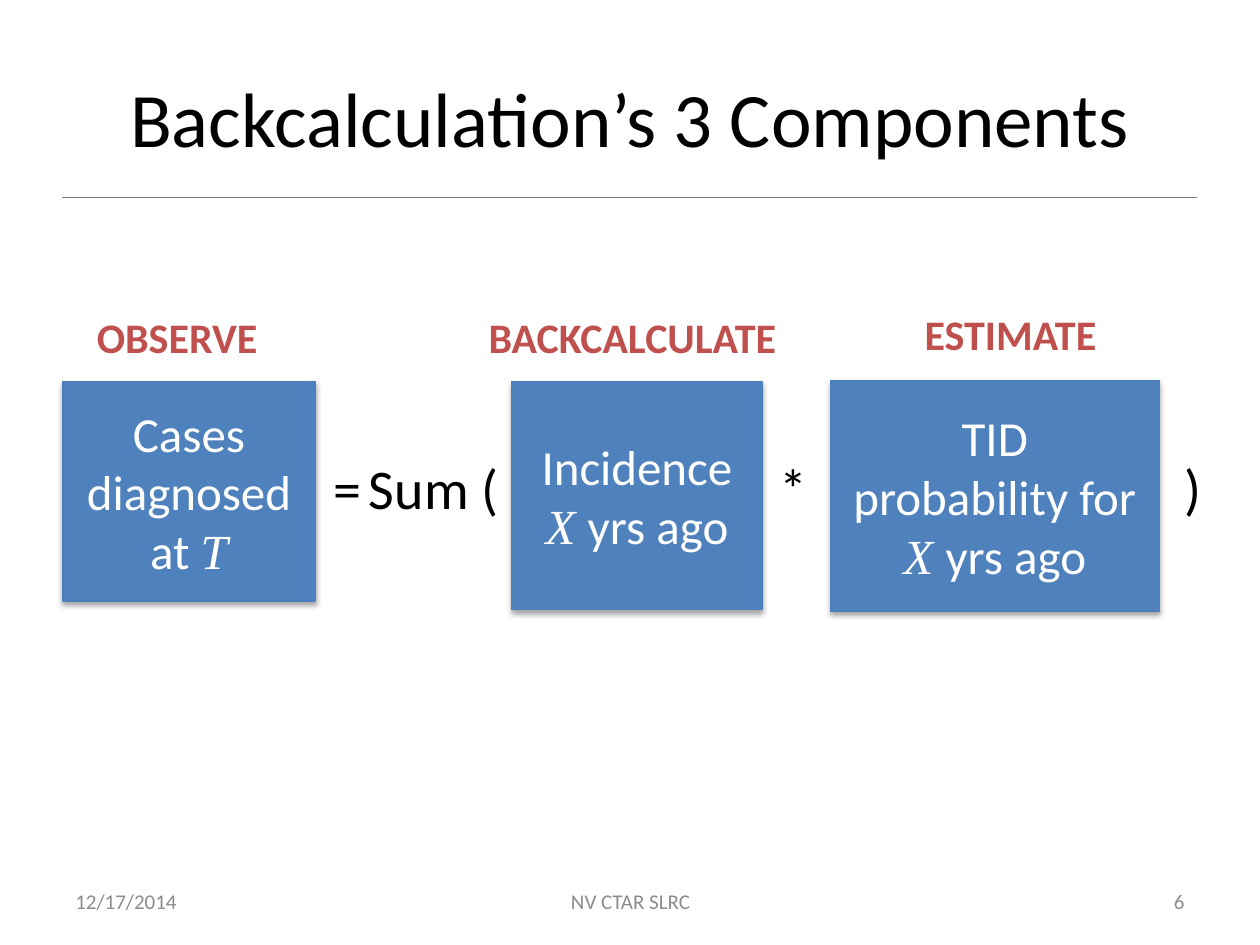
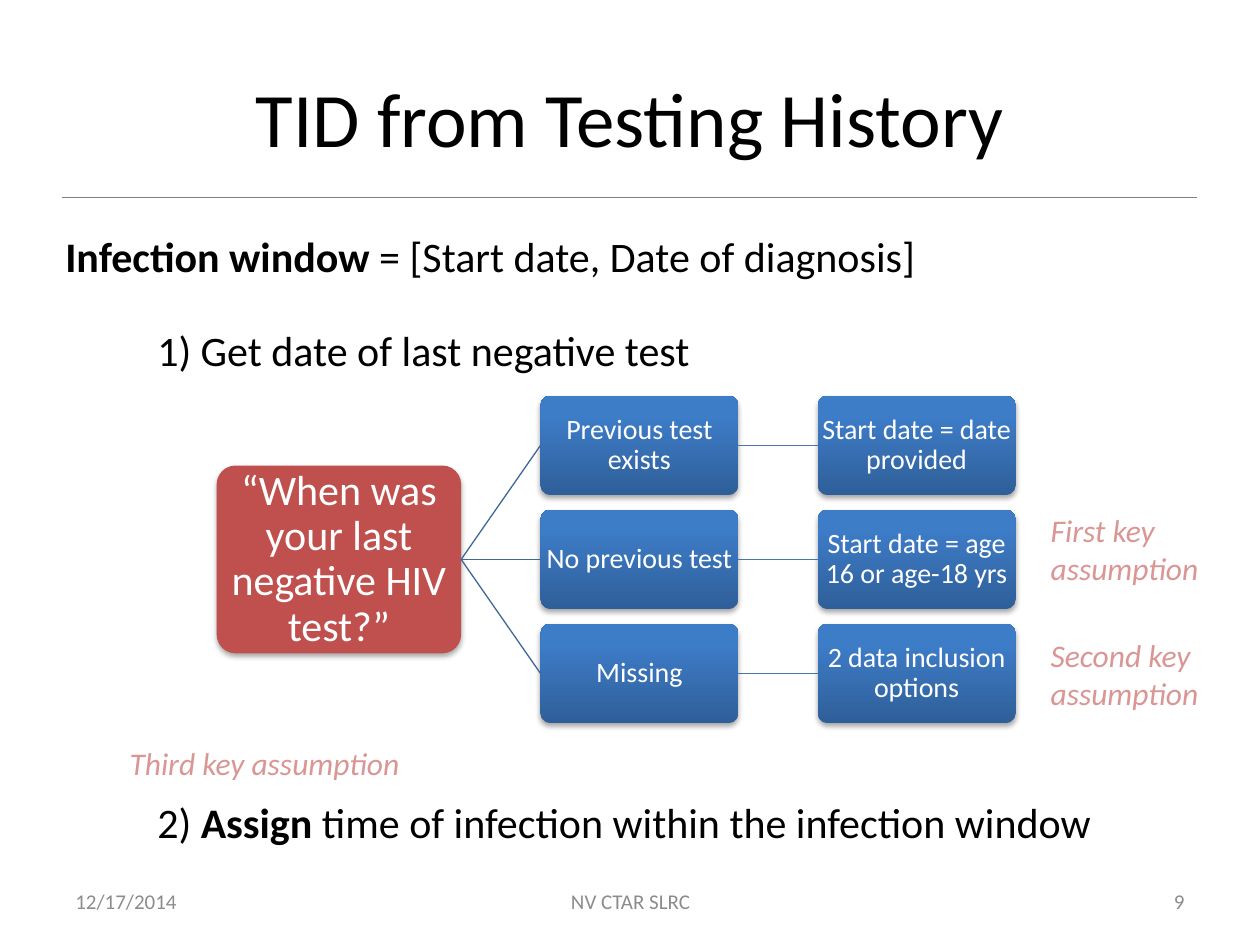
from dataclasses import dataclass

from lxml import etree
from pptx import Presentation
from pptx.dml.color import RGBColor
from pptx.enum.shapes import MSO_CONNECTOR, MSO_SHAPE
from pptx.enum.text import MSO_ANCHOR, PP_ALIGN
from pptx.oxml.ns import qn
from pptx.util import Inches, Pt

LEFT, CENTER, RIGHT = PP_ALIGN.LEFT, PP_ALIGN.CENTER, PP_ALIGN.RIGHT
TOP, MIDDLE = MSO_ANCHOR.TOP, MSO_ANCHOR.MIDDLE
RECTANGLE, ROUNDED = MSO_SHAPE.RECTANGLE, MSO_SHAPE.ROUNDED_RECTANGLE
STRAIGHT = MSO_CONNECTOR.STRAIGHT
LEFT_SITE, RIGHT_SITE = 1, 3
TITLE_ONLY = 5


@dataclass(frozen=True)
class Theme:
    font: str = "Calibri"
    symbol_font: str = "Times New Roman"
    ink: str = "000000"
    white: str = "FFFFFF"
    muted: str = "8C8C8C"
    rule: str = "7F7F7F"
    blue: str = "4F81BD"
    blue_edge: str = "4B7EBC"
    red: str = "C0504D"
    pale_red: str = "D99694"
    gradient: tuple = ((0, "2F5F99"), (0.8, "3D7CC7"))
    root_link: str = "3F6797"
    row_link: str = "4875AC"
    title_size: int = 44
    formula_size: int = 32
    component_size: int = 28
    body_size: int = 24
    note_size: int = 18
    node_size: int = 16
    footer_size: int = 12
    line_width: float = 0.75


THEME = Theme()


def color(value):
    return RGBColor.from_string(value)


def write(frame, paragraphs, size, ink, align=LEFT, anchor=TOP, bold=None,
          italic=None, spacing=None):
    """Fill a frame; each paragraph is a list of (text, style) runs.

    Style is "" for plain, "b" for bold or "s" for an italic symbol.
    """
    frame.word_wrap = True
    frame.vertical_anchor = anchor
    for index, runs in enumerate(paragraphs):
        paragraph = frame.add_paragraph() if index else frame.paragraphs[0]
        paragraph.alignment = align
        paragraph.line_spacing = spacing
        font = paragraph.font
        font.name, font.size = THEME.font, Pt(size)
        font.bold, font.italic = bold, italic
        font.color.rgb = color(ink)
        for text, style in runs:
            run = paragraph.add_run()
            run.text = text
            if style == "b":
                run.font.bold = True
            elif style == "s":
                run.font.name = THEME.symbol_font
                run.font.italic = True


def plain(text):
    return [[(text, "")]]


def add_text(slide, box, paragraphs, size, ink, **options):
    shape = slide.shapes.add_textbox(*map(Inches, box))
    write(shape.text_frame, paragraphs, size, ink, **options)


def add_shadow(shape):
    shape.shadow.inherit = False
    effects = shape._element.spPr.find(qn("a:effectLst"))
    shadow = etree.SubElement(effects, qn("a:outerShdw"), blurRad="40000",
                              dist="23000", dir="5400000", rotWithShape="0")
    shade = etree.SubElement(shadow, qn("a:srgbClr"), val="000000")
    etree.SubElement(shade, qn("a:alpha"), val="35000")


def add_line(slide, ink, start=(0, 0), end=(0, 0)):
    line = slide.shapes.add_connector(STRAIGHT, *map(Inches, start + end))
    line.line.color.rgb = color(ink)
    line.line.width = Pt(THEME.line_width)
    etree.SubElement(line._element.spPr, qn("a:effectLst"))
    return line


def link(slide, source, target, ink):
    line = add_line(slide, ink)
    line.begin_connect(source, RIGHT_SITE)
    line.end_connect(target, LEFT_SITE)


def add_titled_slide(presentation, title, number):
    """Add a slide with the shared title, rule and footer."""
    slide = presentation.slides.add_slide(presentation.slide_layouts[TITLE_ONLY])
    heading = slide.shapes.title
    heading.left, heading.top = Inches(0.5), Inches(0.3)
    heading.width, heading.height = Inches(9), Inches(1.25)
    write(heading.text_frame, plain(title), THEME.title_size, THEME.ink,
          align=CENTER, anchor=MIDDLE)
    add_line(slide, THEME.rule, (0.49, 1.57), (9.5, 1.57))
    footers = [(0.5, 2.33, "12/17/2014", LEFT),
               (3.42, 3.17, "NV CTAR SLRC", CENTER),
               (7.17, 2.33, str(number), RIGHT)]
    for left, width, text, align in footers:
        add_text(slide, (left, 6.95, width, 0.4), plain(text),
                 THEME.footer_size, THEME.muted, align=align, anchor=MIDDLE)
    return slide


def add_component(slide, box, paragraphs):
    shape = slide.shapes.add_shape(RECTANGLE, *map(Inches, box))
    shape.fill.solid()
    shape.fill.fore_color.rgb = color(THEME.blue)
    shape.line.color.rgb = color(THEME.blue_edge)
    shape.line.width = Pt(THEME.line_width)
    add_shadow(shape)
    write(shape.text_frame, paragraphs, THEME.component_size, THEME.white,
          align=CENTER, anchor=MIDDLE)


def add_formula(slide, left, top):
    """Place the components, their labels and the operators between them."""
    years_ago = [("X ", "s"), ("yrs ago", "")]
    components = [
        (0, 0.01, 2, 1.74, [[("Cases diagnosed at ", ""), ("T", "s")]]),
        (3.56, 0.01, 1.99, 1.81, [[("Incidence ", "")] + years_ago]),
        (6.09, 0, 2.61, 1.83,
         [[("TID", "")], [("probability for ", "")] + years_ago]),
    ]
    for x, y, width, height, paragraphs in components:
        add_component(slide, (left + x, top + y, width, height), paragraphs)

    operators = [(2.05, 0.5, "="), (2.33, 1.3, "Sum ("),
                 (5.59, 0.5, "*"), (8.8, 0.5, ")")]
    for x, width, text in operators:
        add_text(slide, (left + x, top + 0.53, width, 0.65), plain(text),
                 THEME.formula_size, THEME.ink)

    labels = [(0.17, -0.6, 1.6, "OBSERVE"), (3.28, -0.6, 2.56, "BACKCALCULATE"),
              (6.74, -0.62, 1.7, "ESTIMATE")]
    for x, y, width, text in labels:
        add_text(slide, (left + x, top + y, width, 0.5), plain(text),
                 THEME.body_size, THEME.red, bold=True)


def add_node(slide, box, text, size, inset, fill=None):
    """Add a rounded node, with the blue gradient unless a fill is given."""
    shape = slide.shapes.add_shape(ROUNDED, *map(Inches, box))
    shape.adjustments[0] = 0.1
    if fill:
        shape.fill.solid()
        shape.fill.fore_color.rgb = color(fill)
    else:
        shape.fill.gradient()
        shape.fill.gradient_angle = 90
        for stop, (position, ink) in zip(shape.fill.gradient_stops,
                                         THEME.gradient):
            stop.position = position
            stop.color.rgb = color(ink)
    shape.line.fill.background()
    add_shadow(shape)
    frame = shape.text_frame
    frame.margin_left = frame.margin_right = Inches(inset)
    frame.margin_top = frame.margin_bottom = Inches(inset)
    write(frame, plain(text), size, THEME.white, align=CENTER, anchor=MIDDLE,
          spacing=0.9)
    return shape


def add_decision_tree(slide, left, top, height):
    """Draw the question, its three answers and the start date for each."""
    question_height, node_width, node_height = 1.49, 1.57, 0.79
    question = add_node(
        slide, (left, top + (height - question_height) / 2, 1.94, question_height),
        "“When was your last negative HIV test?”", THEME.body_size, 0.02, THEME.red)
    branches = [("Previous test exists", "Start date = date provided"),
                ("No previous test", "Start date = age 16 or age-18 yrs"),
                ("Missing", "2 data inclusion options")]
    pitch = (height - node_height) / (len(branches) - 1)
    for row, texts in enumerate(branches):
        answer, start_date = (
            add_node(slide, (left + x, top + row * pitch, node_width, node_height),
                     text, THEME.node_size, 0.01)
            for x, text in zip((2.57, 4.77), texts))
        link(slide, question, answer, THEME.root_link)
        link(slide, answer, start_date, THEME.row_link)


def build_components_slide(presentation):
    slide = add_titled_slide(presentation, "Backcalculation’s 3 Components", 6)
    add_formula(slide, 0.5, 3.02)


def build_testing_history_slide(presentation):
    slide = add_titled_slide(presentation, "TID from Testing History", 9)
    add_decision_tree(slide, 1.72, 3.14, 2.6)
    statements = [
        (0.42, 1.78, 7.2, [("Infection window ", "b"),
                           ("= [Start date, Date of diagnosis]", "")]),
        (1.15, 2.53, 4.7, [("1) Get date of last negative test", "")]),
        (1.15, 6.27, 7.9, [("2) ", ""), ("Assign", "b"),
                           (" time of infection within the infection window", "")]),
    ]
    for left, top, width, runs in statements:
        add_text(slide, (left, top, width, 0.5), [runs],
                 THEME.body_size, THEME.ink)

    assumptions = [((8.24, 4.01, 1.76, 0.71), "First key assumption"),
                   ((8.24, 5, 1.76, 0.71), "Second key assumption"),
                   ((0.93, 5.86, 2.5, 0.4), "Third key assumption")]
    for box, text in assumptions:
        add_text(slide, box, plain(text), THEME.note_size, THEME.pale_red,
                 italic=True)


def main():
    presentation = Presentation()
    presentation.slide_width = Inches(10)
    presentation.slide_height = Inches(7.5)
    build_components_slide(presentation)
    build_testing_history_slide(presentation)
    presentation.save("out.pptx")


if __name__ == "__main__":
    main()
